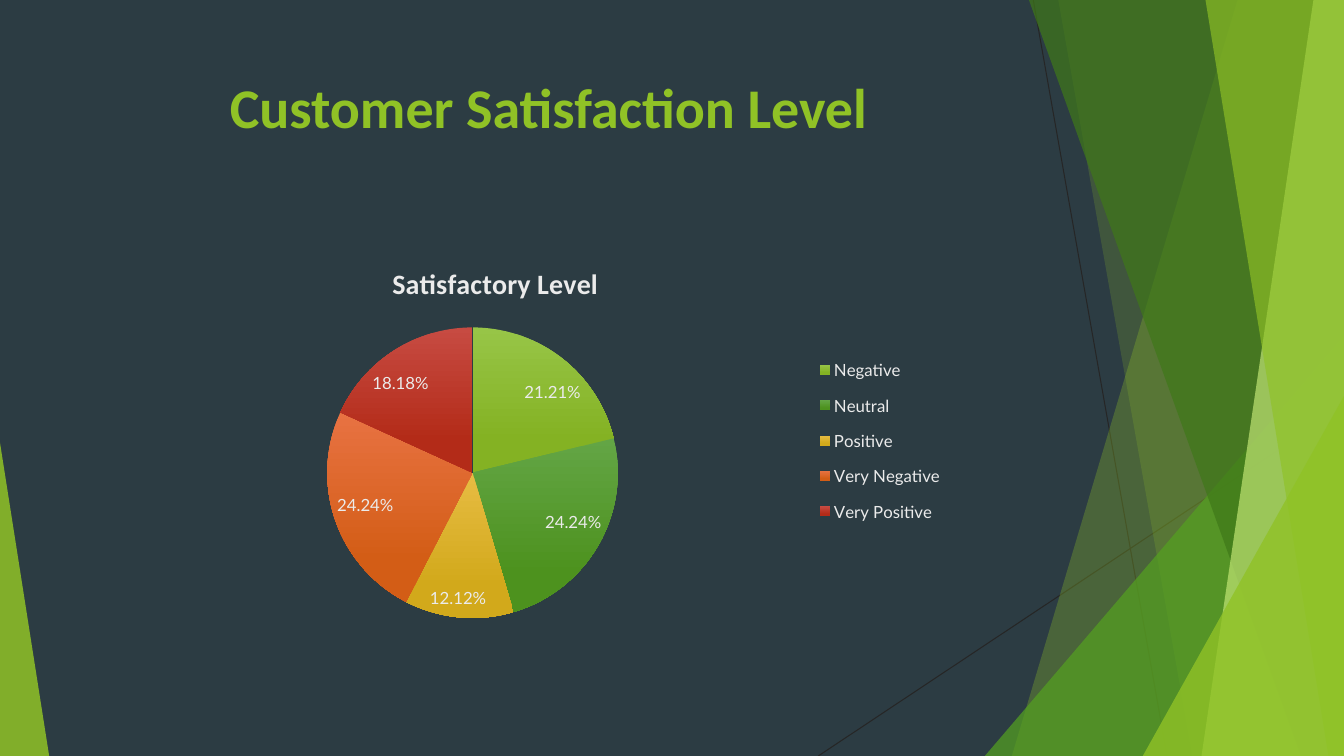
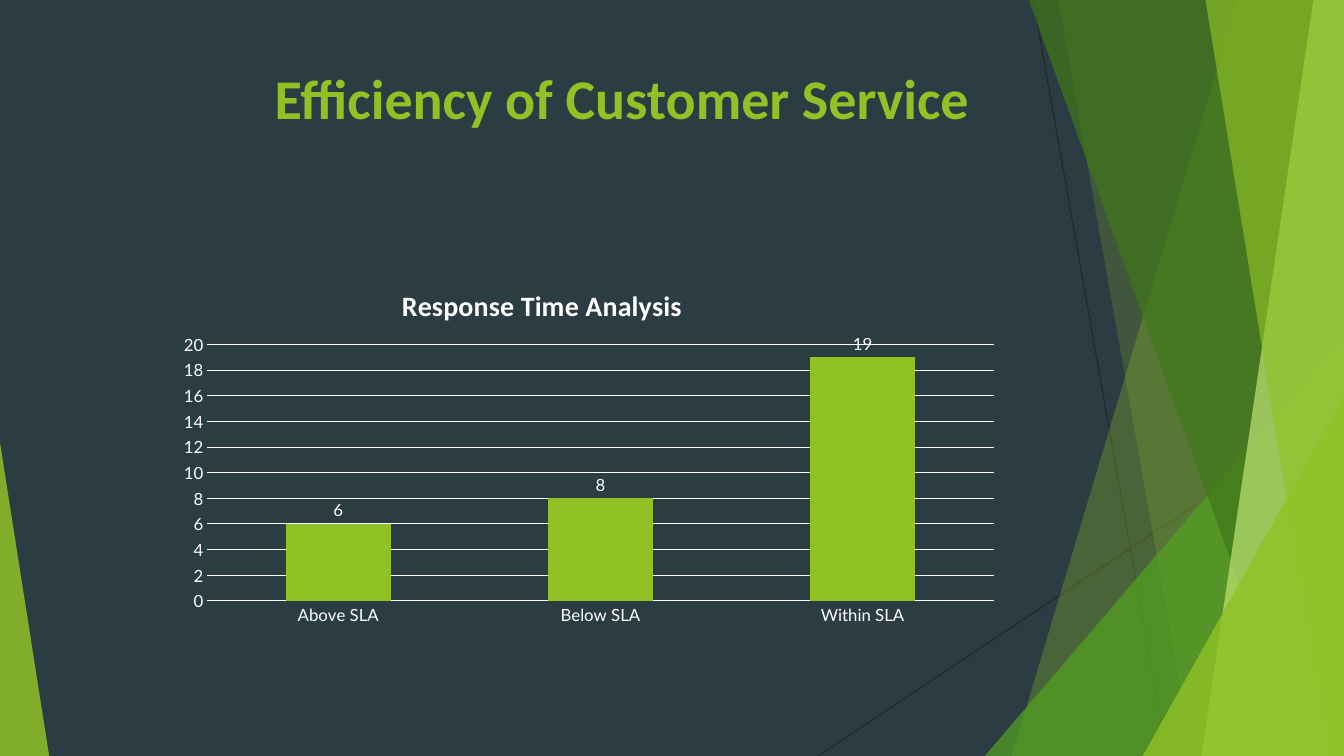
from lxml import etree
from pptx import Presentation
from pptx.chart.data import CategoryChartData
from pptx.dml.color import RGBColor
from pptx.enum.chart import XL_CHART_TYPE, XL_LABEL_POSITION, XL_LEGEND_POSITION, XL_TICK_MARK
from pptx.enum.shapes import MSO_CONNECTOR, MSO_SHAPE
from pptx.enum.text import MSO_ANCHOR, PP_ALIGN
from pptx.oxml.ns import qn
from pptx.util import Cm, Pt

PIE = XL_CHART_TYPE.PIE
COLUMNS = XL_CHART_TYPE.COLUMN_CLUSTERED
BEST_FIT = XL_LABEL_POSITION.BEST_FIT
OUTSIDE_END = XL_LABEL_POSITION.OUTSIDE_END
LEGEND_RIGHT = XL_LEGEND_POSITION.RIGHT
NO_TICK = XL_TICK_MARK.NONE
STRAIGHT = MSO_CONNECTOR.STRAIGHT
TRIANGLE = MSO_SHAPE.ISOSCELES_TRIANGLE
TOP = MSO_ANCHOR.TOP
CENTER = PP_ALIGN.CENTER

SLATE = RGBColor(0x2C, 0x3C, 0x43)
CHARCOAL = RGBColor(0x26, 0x26, 0x26)
LIME = RGBColor(0x90, 0xC2, 0x26)
GREEN = RGBColor(0x54, 0xA0, 0x21)
FOREST = RGBColor(0x3F, 0x78, 0x19)
PALE_LIME = RGBColor(0xC0, 0xE4, 0x74)
WHITE = RGBColor(0xFF, 0xFF, 0xFF)
OFF_WHITE = RGBColor(0xEB, 0xEB, 0xEB)
SLICE_GRADIENTS = [
    (RGBColor(0x97, 0xC5, 0x47), RGBColor(0x84, 0xB2, 0x23)),
    (RGBColor(0x63, 0xA5, 0x45), RGBColor(0x4D, 0x92, 0x1E)),
    (RGBColor(0xE7, 0xBC, 0x43), RGBColor(0xD2, 0xA9, 0x1B)),
    (RGBColor(0xE8, 0x72, 0x42), RGBColor(0xD3, 0x5D, 0x16)),
    (RGBColor(0xC7, 0x4B, 0x42), RGBColor(0xB3, 0x2B, 0x18)),
]

HEADING_FONT = "Calibri"
BODY_FONT = "Lato"
WIDTH, HEIGHT = 33.87, 19.05
CHART_BOX = (1.88, 5.99, 23.88, 10.77)


def cm_box(box):
    return [Cm(length) for length in box]


def style_font(font, size, color, name=BODY_FONT, bold=False):
    font.size = Pt(size)
    font.color.rgb = color
    font.name = name
    font.bold = bold


def paint_facet(facet, color, opacity):
    facet.fill.solid()
    facet.fill.fore_color.rgb = color
    facet.line.fill.background()
    facet.shadow.inherit = False
    tint = facet.element.spPr.find(".//" + qn("a:srgbClr"))
    etree.SubElement(tint, qn("a:alpha")).set("val", str(opacity * 1000))


def add_ray(slide, x1, y1, x2, y2):
    ray = slide.shapes.add_connector(STRAIGHT, *cm_box((x1, y1, x2, y2)))
    ray.line.color.rgb = CHARCOAL
    ray.line.width = Pt(0.75)
    etree.SubElement(ray.element.spPr, qn("a:effectLst"))


def add_band(slide, top_x, bottom_x, color, opacity):
    outline = slide.shapes.build_freeform(Cm(top_x), 0)
    corners = [(WIDTH, 0), (WIDTH, HEIGHT), (bottom_x, HEIGHT)]
    outline.add_line_segments([(Cm(x), Cm(y)) for x, y in corners])
    paint_facet(outline.convert_to_shape(), color, opacity)


def add_corner(slide, left, top, width, apex, color, opacity):
    corner = slide.shapes.add_shape(TRIANGLE, *cm_box((left, top, width, HEIGHT - top)))
    corner.adjustments[0] = apex
    paint_facet(corner, color, opacity)


def draw_facets(slide):
    add_ray(slide, 26.04, 0, 29.41, HEIGHT)
    add_ray(slide, WIDTH, 10.24, 20.62, HEIGHT)
    add_band(slide, 31.19, 25.5, LIME, 30)
    add_band(slide, 26.67, 30.05, LIME, 20)
    add_corner(slide, 24.82, 8.46, WIDTH - 24.82, 1, GREEN, 72)
    add_band(slide, 25.93, 32.79, FOREST, 70)
    add_band(slide, 33.1, 30.28, PALE_LIME, 70)
    add_band(slide, 30.38, 33.48, LIME, 65)
    add_corner(slide, 28.8, 9.98, WIDTH - 28.8, 1, LIME, 80)
    add_corner(slide, 0, 11.15, 1.24, 0, LIME, 85)


def dress_layout(layout, slide):
    layout.background.fill.solid()
    layout.background.fill.fore_color.rgb = SLATE
    for field in list(layout.placeholders)[1:]:
        field.element.getparent().remove(field.element)
    draw_facets(slide)
    facets = [shape for shape in slide.shapes if not shape.is_placeholder]
    for position, facet in enumerate(facets, start=2):
        layout.shapes.element.insert(position, facet.element)


def write_title(slide, text, box):
    title = slide.shapes.title
    title.left, title.top, title.width, title.height = cm_box(box)
    frame = title.text_frame
    frame.word_wrap = True
    frame.vertical_anchor = TOP
    heading = frame.paragraphs[0]
    heading.alignment = CENTER
    run = heading.add_run()
    run.text = text
    style_font(run.font, 40, LIME, HEADING_FONT, True)


def set_layout(parent, index, inner=False, **fractions):
    for old in parent.findall(qn("c:layout")):
        parent.remove(old)
    layout = etree.Element(qn("c:layout"))
    parent.insert(index, layout)
    manual = etree.SubElement(layout, qn("c:manualLayout"))
    settings = [("layoutTarget", "inner")] if inner else []
    settings += [("xMode", "edge"), ("yMode", "edge"), *fractions.items()]
    for tag, value in settings:
        etree.SubElement(manual, qn("c:" + tag)).set("val", str(value))


def add_titled_chart(slide, kind, box, categories, values, title, title_color, number_format):
    data = CategoryChartData(number_format=number_format)
    data.categories = categories
    data.add_series("Series 1", values)
    chart = slide.shapes.add_chart(kind, *cm_box(box), data).chart
    style_font(chart.font, 10, WHITE)
    chart.has_title = True
    run = chart.chart_title.text_frame.paragraphs[0].add_run()
    run.text = title
    style_font(run.font, 20, title_color, HEADING_FONT, True)
    return chart


def show_values(plot, color, position, number_format):
    plot.has_data_labels = True
    labels = plot.data_labels
    labels.show_value = True
    labels.show_percentage = False
    labels.position = position
    labels.number_format = number_format
    labels.number_format_is_linked = False
    style_font(labels.font, 12, color)


def add_satisfaction_pie(slide, box):
    levels = ["Negative", "Neutral", "Positive", "Very Negative", "Very Positive"]
    shares = [0.2121, 0.2424, 0.1212, 0.2424, 0.1818]
    chart = add_titled_chart(slide, PIE, box, levels, shares,
                             "Satisfactory Level", OFF_WHITE, "0.00%")
    set_layout(chart.chart_title.element, 1, x=0.33, y=0.05)
    set_layout(chart.element.find(".//" + qn("c:plotArea")), 0, True,
               x=0.08, y=0.21, w=0.68, h=0.68)

    plot = chart.plots[0]
    plot.vary_by_categories = True
    show_values(plot, OFF_WHITE, BEST_FIT, "0.00%")
    for index, (light, deep) in enumerate(SLICE_GRADIENTS):
        piece = plot.series[0].points[index].format
        piece.line.fill.background()
        piece.fill.gradient()
        piece.fill.gradient_angle = 270
        for stop, color, position in zip(piece.fill.gradient_stops, (light, deep), (0, 0.78)):
            stop.color.rgb = color
            stop.position = position

    chart.has_legend = True
    chart.legend.position = LEGEND_RIGHT
    chart.legend.include_in_layout = False
    style_font(chart.legend.font, 12, OFF_WHITE)
    set_layout(chart.legend.element if hasattr(chart.legend, "element")
               else chart.element.find(".//" + qn("c:legend")), 1,
               x=0.78, y=0.25, w=0.14, h=0.45)


def add_response_columns(slide, box):
    chart = add_titled_chart(slide, COLUMNS, box, ["Above SLA", "Below SLA", "Within SLA"],
                             [6, 8, 19], "Response Time Analysis", WHITE, "General")
    set_layout(chart.chart_title.element, 1, x=0.34, y=0.1)
    set_layout(chart.element.find(".//" + qn("c:plotArea")), 0, True,
               x=0.14, y=0.25, w=0.83, h=0.6)
    chart.has_legend = False

    plot = chart.plots[0]
    plot.vary_by_categories = False
    plot.gap_width = 150
    show_values(plot, WHITE, OUTSIDE_END, "General")
    columns = plot.series[0].format
    columns.fill.solid()
    columns.fill.fore_color.rgb = LIME

    for axis in (chart.category_axis, chart.value_axis):
        axis.major_tick_mark = NO_TICK
        axis.minor_tick_mark = NO_TICK
        axis.format.line.fill.background()
        style_font(axis.tick_labels.font, 12, WHITE)
    scale = chart.value_axis
    scale.minimum_scale, scale.maximum_scale, scale.major_unit = 0, 20, 2
    scale.has_major_gridlines = True
    scale.major_gridlines.format.line.color.rgb = WHITE
    scale.major_gridlines.format.line.width = Pt(0.75)


def main():
    prs = Presentation()
    prs.slide_width, prs.slide_height = Cm(WIDTH), Cm(HEIGHT)
    layout = prs.slide_layouts[5]

    satisfaction = prs.slides.add_slide(layout)
    dress_layout(layout, satisfaction)
    write_title(satisfaction, "Customer Satisfaction Level", (1.88, 1.7, 23.88, 3.66))
    add_satisfaction_pie(satisfaction, CHART_BOX)

    efficiency = prs.slides.add_slide(layout)
    write_title(efficiency, "Efficiency of Customer Service", (3.73, 1.47, 23.88, 3.45))
    add_response_columns(efficiency, CHART_BOX)

    prs.save("out.pptx")


if __name__ == "__main__":
    main()
